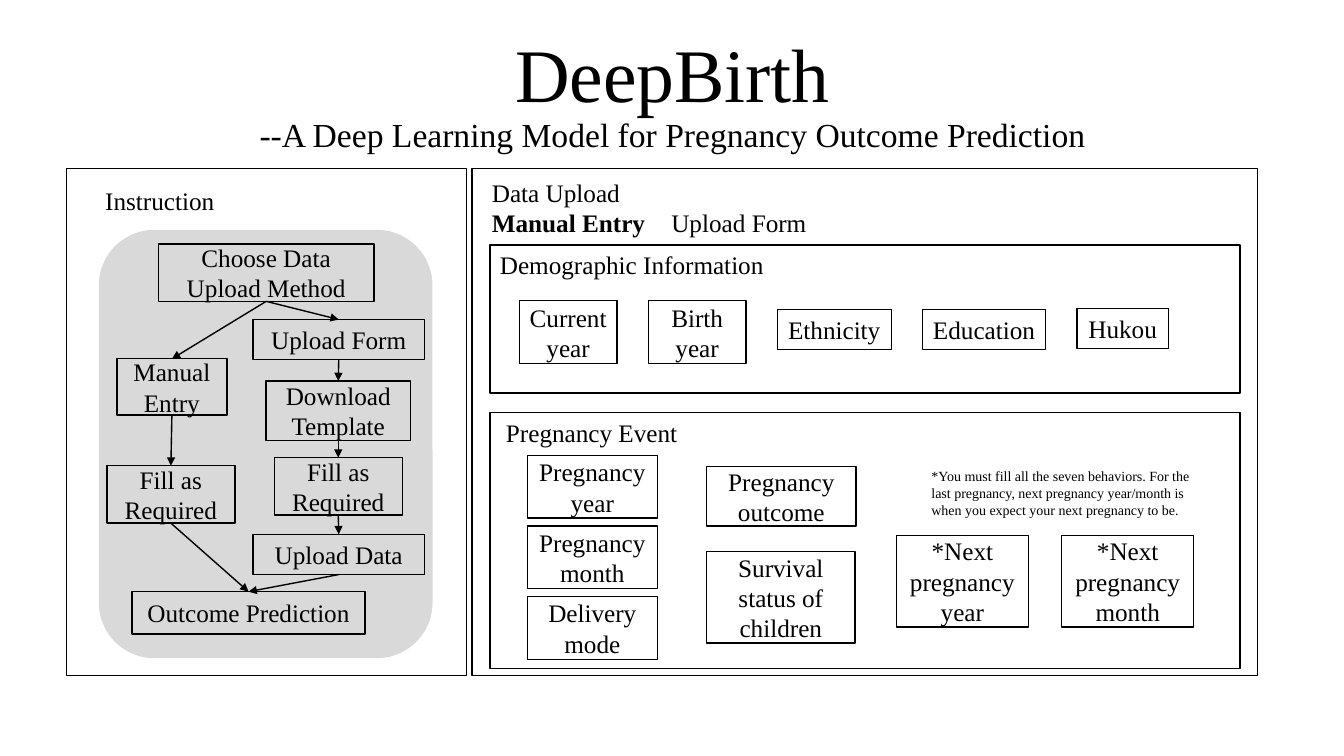
import pptx
import pptx.dml.color
import pptx.enum.shapes
import pptx.enum.text
import pptx.oxml
import pptx.oxml.ns
import pptx.util

PX = 9144  # 100 px to the inch
BLACK = pptx.dml.color.RGBColor(0, 0, 0)
GRAY = pptx.dml.color.RGBColor(0xD9, 0xD9, 0xD9)
ALIGN = pptx.enum.text.PP_ALIGN
ANCHOR = pptx.enum.text.MSO_ANCHOR
AUTO_SIZE = pptx.enum.text.MSO_AUTO_SIZE
SHAPE = pptx.enum.shapes.MSO_SHAPE
TOP, BOTTOM = 0, 2


def to_emu(*lengths):
    return [length * PX for length in lengths]


def element(tag, **attributes):
    new_element = pptx.oxml.parse_xml(f"<{tag} {pptx.oxml.ns.nsdecls('a')}/>")
    for name, value in attributes.items():
        new_element.set(name, str(value))
    return new_element


def write(paragraph, text, font="Times New Roman", size=18, bold=False,
          color=BLACK, align=ALIGN.LEFT):
    """Append a formatted run to the paragraph."""
    paragraph.alignment = align
    run = paragraph.add_run()
    run.text = text
    run.font.name = font
    run.font.size = pptx.util.Pt(size)
    run.font.bold = bold
    run.font.color.rgb = color


class Board:
    """Holds the current slide and the shared line and text style."""

    def __init__(self, slide, line_width=1, line_color=BLACK):
        self.slide = slide
        self.line_width = pptx.util.Pt(line_width)
        self.line_color = line_color

    def title(self, heading, subheading, left, top, width, height):
        shape = self.slide.shapes.title
        shape.left, shape.top, shape.width, shape.height = to_emu(left, top, width, height)
        frame = shape.text_frame
        frame.auto_size = AUTO_SIZE.NONE
        frame.vertical_anchor = ANCHOR.BOTTOM
        paragraph = frame.paragraphs[0]
        paragraph.line_spacing = 0.9
        write(paragraph, heading, size=54, align=ALIGN.CENTER)
        paragraph.add_line_break()
        write(paragraph, subheading, size=24, align=ALIGN.CENTER)

    def panel(self, left, top, width, height, kind=SHAPE.RECTANGLE, fill=None):
        """Draw an outlined shape, or a filled one without outline."""
        shape = self.slide.shapes.add_shape(kind, *to_emu(left, top, width, height))
        shape.shadow.inherit = False
        if fill is None:
            shape.fill.background()
            shape.line.color.rgb = self.line_color
            shape.line.width = self.line_width
        else:
            shape.fill.solid()
            shape.fill.fore_color.rgb = fill
            shape.line.fill.background()
        return shape

    def box(self, text, left, top, width, height):
        shape = self.panel(left, top, width, height)
        frame = shape.text_frame
        frame.word_wrap = True
        frame.vertical_anchor = ANCHOR.MIDDLE
        write(frame.paragraphs[0], text, align=ALIGN.CENTER)
        return shape

    def label(self, text, left, top, width, height, anchor=ANCHOR.TOP, **text_format):
        shape = self.slide.shapes.add_textbox(*to_emu(left, top, width, height))
        frame = shape.text_frame
        frame.word_wrap = True
        frame.vertical_anchor = anchor
        if anchor == ANCHOR.TOP:
            frame.auto_size = AUTO_SIZE.SHAPE_TO_FIT_TEXT
        write(frame.paragraphs[0], text, **text_format)
        return frame

    def arrow(self, source, target):
        """Join the bottom of one box to the top of another."""
        connector = self.slide.shapes.add_connector(
            pptx.enum.shapes.MSO_CONNECTOR.STRAIGHT, 0, 0, 0, 0)
        connector.begin_connect(source, BOTTOM)
        connector.end_connect(target, TOP)
        connector.line.color.rgb = self.line_color
        connector.line.width = self.line_width
        connector.line._get_or_add_ln().append(element("a:tailEnd", type="triangle"))
        connector._element.spPr.append(element("a:effectLst"))


def draw_instruction(board):
    board.label("Instruction", 66, 175, 185, 48, anchor=ANCHOR.MIDDLE, align=ALIGN.CENTER)
    board.panel(66, 167, 397, 503)
    choose = board.box("Choose Data Upload Method", 157, 242, 214, 57)
    manual = board.box("Manual Entry", 116, 356, 109, 56)
    manual_fill = board.box("Fill as Required", 106, 462, 127, 57)
    form = board.box("Upload Form", 251, 317, 170, 40)
    template = board.box("Download Template", 264, 378, 143, 59)
    form_fill = board.box("Fill as Required", 272, 454, 127, 57)
    upload = board.box("Upload Data", 251, 530, 170, 40)
    outcome = board.box("Outcome Prediction", 131, 587, 231, 42)
    for path_boxes in ([choose, manual, manual_fill, outcome],
                       [choose, form, template, form_fill, upload, outcome]):
        for source, target in zip(path_boxes, path_boxes[1:]):
            board.arrow(source, target)


def draw_data_upload(board):
    board.panel(468, 167, 779, 503)
    frame = board.label("Data Upload", 478, 174, 659, 64, anchor=ANCHOR.MIDDLE)
    tabs = frame.add_paragraph()
    write(tabs, "Manual Entry\t", bold=True)
    write(tabs, "Upload Form")
    tab_list = element("a:tabLst")
    tab_list.append(element("a:tab", pos=178 * PX, algn="l"))
    tabs._p.get_or_add_pPr().append(tab_list)


def draw_demographics(board):
    board.panel(486, 243, 744, 147)
    board.label("Demographic Information", 486, 242, 444, 40)
    for text, left, top, width, height in (
            ("Current year", 515, 298, 97, 63),
            ("Birth year", 643, 298, 97, 63),
            ("Ethnicity", 771, 307, 113, 40),
            ("Education", 915, 307, 122, 40),
            ("Hukou", 1068, 306, 91, 40)):
        board.box(text, left, top, width, height)


def draw_pregnancy_event(board):
    board.panel(486, 409, 744, 254)
    board.label("Pregnancy Event", 492, 409, 444, 40)
    for row, text in enumerate(("Pregnancy year", "Pregnancy month", "Delivery mode")):
        board.box(text, 523, 452 + 70 * row, 129, 62)
    board.box("Pregnancy outcome", 701, 463, 148, 59)
    board.box("Survival status of children", 701, 547, 147, 91)
    board.label("*You must fill all the seven behaviors. For the last pregnancy, "
                "next pregnancy year/month is when you expect your next pregnancy to be.",
                914, 459, 286, 61, size=10)
    for column, unit in enumerate(("year", "month")):
        board.box(f"*Next pregnancy {unit}", 889 + 164 * column, 531, 131, 91)


def main():
    presentation = pptx.Presentation()
    presentation.slide_width, presentation.slide_height = to_emu(1333, 750)
    slide = presentation.slides.add_slide(presentation.slide_layouts[0])
    subtitle = slide.placeholders[1]._element
    subtitle.getparent().remove(subtitle)

    board = Board(slide)
    board.panel(98, 228, 331, 425, kind=SHAPE.ROUNDED_RECTANGLE, fill=GRAY)
    board.title("DeepBirth", "--A Deep Learning Model for Pregnancy Outcome Prediction",
                131, 66, 1072, 93)
    draw_instruction(board)
    draw_data_upload(board)
    draw_demographics(board)
    draw_pregnancy_event(board)
    presentation.save("out.pptx")


if __name__ == "__main__":
    main()
